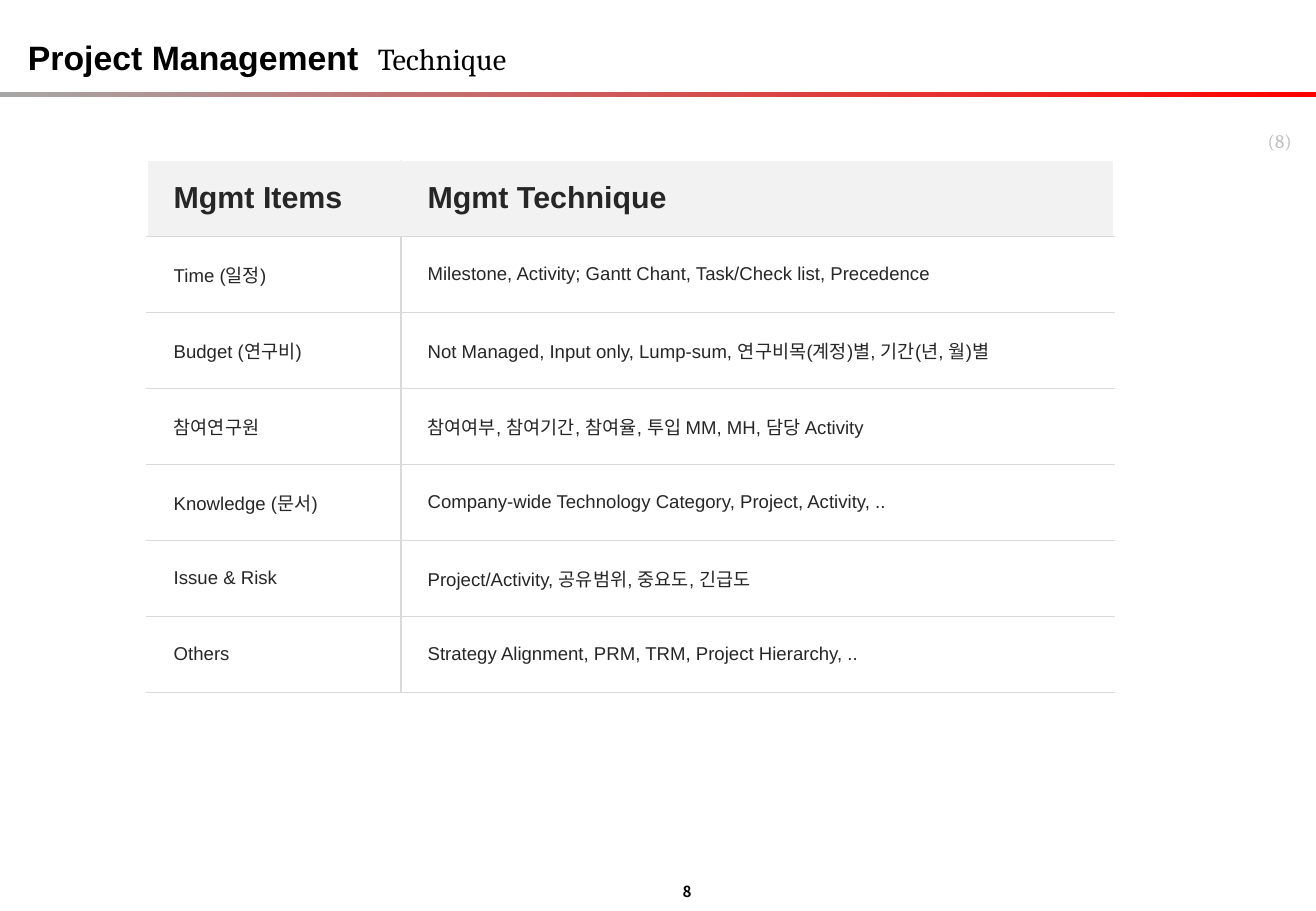
from lxml import etree
from pptx import Presentation
from pptx.dml.color import RGBColor
from pptx.enum.shapes import MSO_SHAPE
from pptx.enum.text import MSO_ANCHOR, MSO_AUTO_SIZE, PP_ALIGN
from pptx.oxml.ns import qn
from pptx.util import Inches, Pt

RECT = MSO_SHAPE.RECTANGLE
TOP, MIDDLE = MSO_ANCHOR.TOP, MSO_ANCHOR.MIDDLE
LEFT, RIGHT = PP_ALIGN.LEFT, PP_ALIGN.RIGHT
NO_FIT = MSO_AUTO_SIZE.NONE

BLACK = RGBColor(0x00, 0x00, 0x00)
WHITE = RGBColor(0xFF, 0xFF, 0xFF)
RED = RGBColor(0xFF, 0x00, 0x00)
GRAY = RGBColor(0xA6, 0xA6, 0xA6)
PALE_GRAY = RGBColor(0xBF, 0xBF, 0xBF)
RULE_GRAY = RGBColor(0xD9, 0xD9, 0xD9)
HEADER_GRAY = RGBColor(0xF2, 0xF2, 0xF2)
TEXT_GRAY = RGBColor(0x26, 0x26, 0x26)

KOREAN_FONT = "Noto Sans CJK KR"
ROWS = [
    ("Mgmt Items", "Mgmt Technique"),
    ("Time (일정)", "Milestone, Activity; Gantt Chant, Task/Check list, Precedence"),
    ("Budget (연구비)", "Not Managed, Input only, Lump-sum, 연구비목(계정)별, 기간(년, 월)별"),
    ("참여연구원", "참여여부, 참여기간, 참여율, 투입 MM, MH, 담당 Activity"),
    ("Knowledge (문서)", "Company-wide Technology Category, Project, Activity, .."),
    ("Issue & Risk", "Project/Activity, 공유범위, 중요도, 긴급도"),
    ("Others", "Strategy Alignment, PRM, TRM, Project Hierarchy, .."),
]


def format_run(r, font, size, color, bold=False):
    r.font.name, r.font.size, r.font.bold = font, Pt(size), bold
    r.font.color.rgb = color
    ea = etree.SubElement(r.font._element, qn("a:ea"))
    ea.set("typeface", KOREAN_FONT)


def add_border(cell, side, color, width):
    ln = etree.SubElement(cell._tc.get_or_add_tcPr(), qn("a:" + side))
    ln.set("w", str(Pt(width)))
    fill = etree.SubElement(ln, qn("a:solidFill"))
    etree.SubElement(fill, qn("a:srgbClr")).set("val", str(color))


prs = Presentation()
prs.slide_width, prs.slide_height = Inches(10.83), Inches(7.5)
s = prs.slides.add_slide(prs.slide_layouts[5])

# Gradient rule under the title
rule = s.shapes.add_shape(RECT, 0, Inches(0.76), prs.slide_width, Inches(0.04))
rule.shadow.inherit = False
rule.line.fill.background()
rule.fill.gradient()
rule.fill.gradient_angle = 0
for stop, color in zip(rule.fill.gradient_stops, (GRAY, RED)):
    stop.color.rgb = color

# Title, with a tab stop before the lighter word
title = s.shapes.title
title.left, title.top = Inches(0.13), Inches(0.25)
title.width, title.height = Inches(4.45), Inches(0.44)
tf = title.text_frame
tf.word_wrap, tf.auto_size, tf.vertical_anchor = False, NO_FIT, TOP
p = tf.paragraphs[0]
p.alignment = LEFT
tabs = etree.SubElement(p._p.get_or_add_pPr(), qn("a:tabLst"))
tab = etree.SubElement(tabs, qn("a:tab"))
tab.set("pos", str(Inches(2.88)))
tab.set("algn", "l")
for text, font, size, bold in (("Project Management\t", "Arial", 20, True),
                               ("Technique", "Cambria", 18, False)):
    r = p.add_run()
    r.text = text
    format_run(r, font, size, BLACK, bold)

# Page numbers at the upper right and at the foot
for text, x, y, w, h, font, size, color, bold, wrap, inset in (
        ("(8)", 8.27, 1, 2.44, 0.32, "Cambria", 11.4, PALE_GRAY, False, True, 0.08),
        ("8", 5.42, 7.21, 0.37, 0.25, KOREAN_FONT, 9, BLACK, True, False, 0.1)):
    sp = s.shapes.add_textbox(Inches(x), Inches(y), Inches(w), Inches(h))
    tf = sp.text_frame
    tf.word_wrap, tf.vertical_anchor = wrap, MIDDLE
    tf.margin_left = tf.margin_right = Inches(inset)
    tf.margin_top = tf.margin_bottom = Inches(inset / 2)
    tf.text = text
    p = tf.paragraphs[0]
    p.alignment = RIGHT
    format_run(p.runs[0], font, size, color, bold)

# Table of management items and techniques
table = s.shapes.add_table(len(ROWS), 2, Inches(1.21), Inches(1.32),
                           Inches(7.96), Inches(4.38)).table
table.horz_banding = False
for column, width in zip(table.columns, (2.09, 5.87)):
    column.width = Inches(width)
for i, texts in enumerate(ROWS):
    header = i == 0
    table.rows[i].height = Inches(4.38 / len(ROWS))
    divider = (HEADER_GRAY if header else RULE_GRAY, 0.75)
    outer = (WHITE, 1)
    for j, text in enumerate(texts):
        cell = table.cell(i, j)
        add_border(cell, "lnL", *(divider if j else outer))
        add_border(cell, "lnR", *(outer if j else divider))
        add_border(cell, "lnT", *(outer if header else (RULE_GRAY, 0.75)))
        add_border(cell, "lnB", RULE_GRAY, 0.75)
        cell.fill.solid()
        cell.fill.fore_color.rgb = HEADER_GRAY if header else WHITE
        cell.vertical_anchor = MIDDLE
        cell.margin_left = cell.margin_right = Inches(0.22)
        cell.margin_top = cell.margin_bottom = Inches(0.12)
        cell.text_frame.text = text
        r = cell.text_frame.paragraphs[0].runs[0]
        format_run(r, "Arial", 18 if header else 11, TEXT_GRAY, header)

prs.save("out.pptx")
